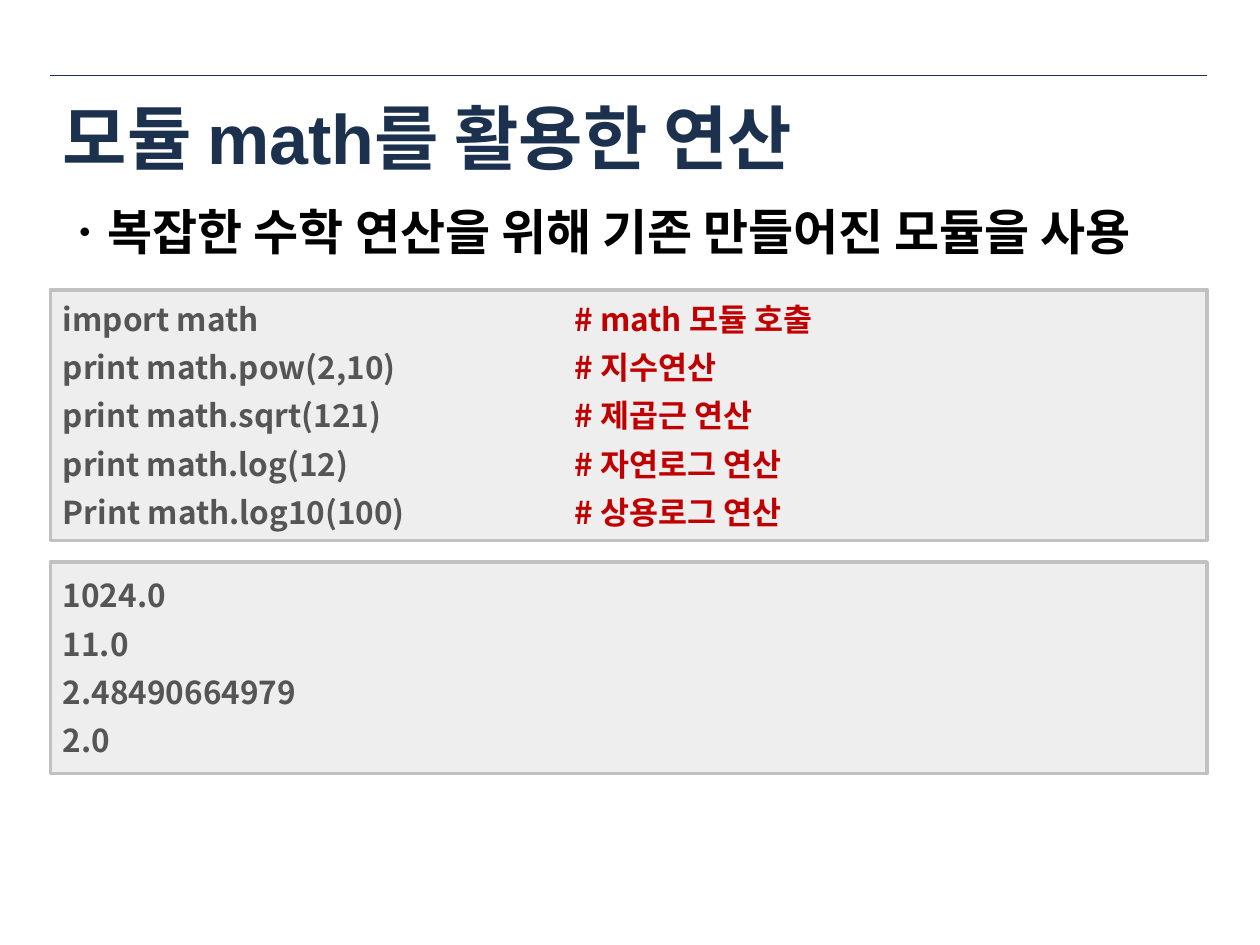
from lxml.etree import SubElement
from pptx import Presentation
from pptx.dml.color import RGBColor
from pptx.enum.shapes import MSO_CONNECTOR, MSO_SHAPE
from pptx.enum.text import MSO_ANCHOR, PP_ALIGN
from pptx.oxml.ns import qn
from pptx.util import Inches, Pt

NAVY = RGBColor(0x1C, 0x31, 0x4E)
BLACK = RGBColor(0x00, 0x00, 0x00)
GRAY = RGBColor(0x55, 0x55, 0x55)
RED = RGBColor(0xC0, 0x00, 0x00)
PANEL_FILL = RGBColor(0xEE, 0xEE, 0xEE)
PANEL_LINE = RGBColor(0xC1, 0xC1, 0xC1)

KOREAN_FONT = "Noto Sans CJK KR"
LEFT, WIDTH = 0.4, 9.18
COMMENT_TAB = 4.06

CODE = [
    ("import math", "# math 모듈 호출"),
    ("print math.pow(2,10)", "# 지수연산"),
    ("print math.sqrt(121)", "# 제곱근 연산"),
    ("print math.log(12)", "# 자연로그 연산"),
    ("Print math.log10(100)", "# 상용로그 연산"),
]
RESULTS = [("1024.0",), ("11.0",), ("2.48490664979",), ("2.0",)]


def add_span(para, text, size=18, color=GRAY, font=KOREAN_FONT):
    """Append a bold run with matching Latin and Korean fonts."""
    span = para.add_run()
    span.text = text
    span.font.size = Pt(size)
    span.font.bold = True
    span.font.color.rgb = color
    span.font.name = font
    SubElement(span.font._element, qn("a:ea"), typeface=KOREAN_FONT)


def add_text(page, text, top, height, width=WIDTH, anchor=MSO_ANCHOR.TOP,
             spacing=None, **style):
    """Add a one-paragraph text box."""
    box = page.shapes.add_textbox(
        Inches(LEFT), Inches(top), Inches(width), Inches(height))
    frame = box.text_frame
    frame.word_wrap = True
    frame.vertical_anchor = anchor
    para = frame.paragraphs[0]
    para.line_spacing = spacing
    add_span(para, text, **style)


def add_panel(page, rows, top, height):
    """Add a gray panel with one line per row and comments at a tab stop."""
    panel = page.shapes.add_shape(
        MSO_SHAPE.RECTANGLE,
        Inches(LEFT), Inches(top), Inches(WIDTH), Inches(height))
    panel.shadow.inherit = False
    panel.fill.solid()
    panel.fill.fore_color.rgb = PANEL_FILL
    panel.line.color.rgb = PANEL_LINE
    panel.line.width = Pt(2)
    frame = panel.text_frame
    frame.word_wrap = True
    frame.vertical_anchor = MSO_ANCHOR.MIDDLE
    for index, (code, *comments) in enumerate(rows):
        para = frame.add_paragraph() if index else frame.paragraphs[0]
        para.alignment = PP_ALIGN.LEFT
        para.line_spacing = Pt(21.6)
        para.space_after = Pt(6)
        add_span(para, code)
        for comment in comments:
            tabs = SubElement(para._p.get_or_add_pPr(), qn("a:tabLst"))
            SubElement(tabs, qn("a:tab"),
                       pos=str(Inches(COMMENT_TAB)), algn="l")
            add_span(para, "\t" + comment, color=RED)


def add_rule(page, top):
    """Add the thin horizontal rule above the title."""
    rule = page.shapes.add_connector(
        MSO_CONNECTOR.STRAIGHT,
        Inches(LEFT), Inches(top), Inches(LEFT + WIDTH), Inches(top))
    rule.line.color.rgb = NAVY
    rule.line.width = Pt(0.25)
    SubElement(rule._element.spPr, qn("a:effectLst"))


def main():
    """Build and save the slide."""
    deck = Presentation()
    deck.slide_width, deck.slide_height = Inches(10), Inches(7.5)
    page = deck.slides.add_slide(deck.slide_layouts[6])
    add_rule(page, 0.6)
    add_text(page, "모듈 math를 활용한 연산", 0.62, 0.93,
             anchor=MSO_ANCHOR.MIDDLE, size=40, color=NAVY, font="Arial")
    add_panel(page, CODE, 2.3, 1.99)
    add_text(page, "ㆍ복잡한 수학 연산을 위해 기존 만들어진 모듈을 사용", 1.55, 0.57,
             width=9.6, spacing=Pt(33.6), size=28, color=BLACK)
    add_panel(page, RESULTS, 4.46, 1.68)
    deck.save("out.pptx")


if __name__ == "__main__":
    main()
